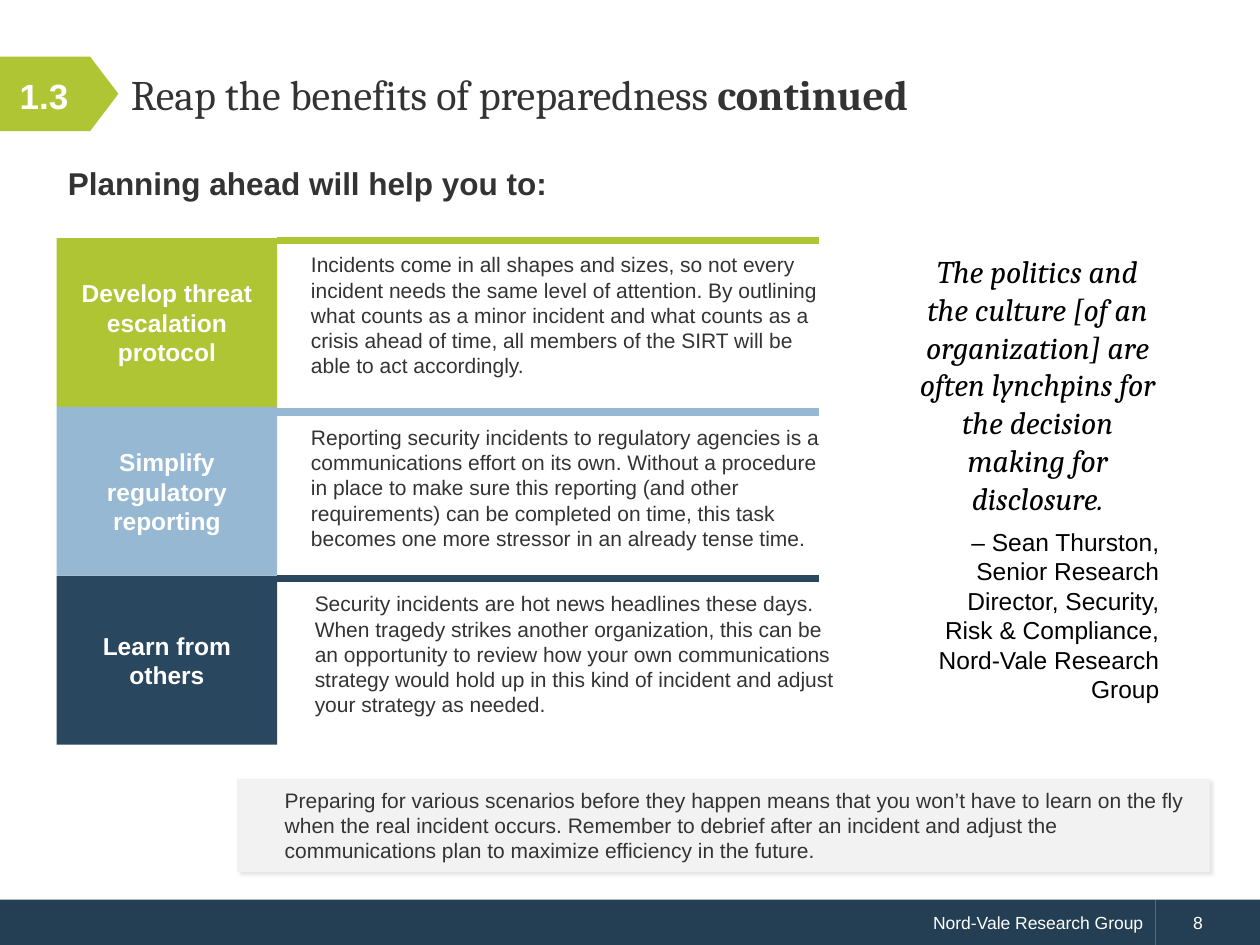
from lxml.etree import SubElement
from pptx import Presentation
from pptx.dml.color import RGBColor
from pptx.enum.shapes import MSO_SHAPE
from pptx.enum.text import MSO_ANCHOR, PP_ALIGN
from pptx.oxml.ns import qn
from pptx.util import Inches, Pt

GREEN, BLUE, NAVY, FOOTER = "B0C534", "96B8D2", "29475F", "243F54"
PALE, DARK, WHITE, BLACK = "F2F2F2", "333333", "FFFFFF", "000000"
COMPANY = "Nord-Vale Research Group"

TITLE = {"size": 24, "name": "Cambria", "color": DARK}
NUMBER = {"size": 20, "bold": True, "color": WHITE}
HEADING = {"size": 18, "bold": True, "color": DARK}
LABEL = {"size": 14, "bold": True, "color": WHITE}
BODY = {"size": 12, "color": DARK}
QUOTE = {"size": 18, "name": "Cambria", "italic": True, "color": BLACK}
SOURCE = {"size": 14, "color": BLACK}
SMALL = {"size": 10, "color": WHITE}

BENEFITS = [
    ("Develop threat escalation protocol", GREEN, 1.79, (2.37, 1.95),
     "Incidents come in all shapes and sizes, so not every incident needs the same "
     "level of attention. By outlining what counts as a minor incident and what counts "
     "as a crisis ahead of time, all members of the SIRT will be able to act accordingly."),
    ("Simplify regulatory reporting", BLUE, 3.15, (2.37, 3.32),
     "Reporting security incidents to regulatory agencies is a communications effort on "
     "its own. Without a procedure in place to make sure this reporting (and other "
     "requirements) can be completed on time, this task becomes one more stressor in an "
     "already tense time."),
    ("Learn from others", NAVY, 4.47, (2.4, 4.64),
     "Security incidents are hot news headlines these days. When tragedy strikes another "
     "organization, this can be an opportunity to review how your own communications "
     "strategy would hold up in this kind of incident and adjust your strategy as needed."),
]
NOTE = ("Preparing for various scenarios before they happen means that you won’t have to "
        "learn on the fly when the real incident occurs. Remember to debrief after an "
        "incident and adjust the communications plan to maximize efficiency in the future.")
QUOTE_TEXT = ("The politics and the culture [of an organization] are often lynchpins for "
              "the decision making for disclosure.")
QUOTE_SOURCE = ("– Sean Thurston, Senior Research Director, Security, "
                f"Risk & Compliance, {COMPANY}")

ROW_TOP, ROW_H = 1.89, 1.34

prs = Presentation()
prs.slide_width, prs.slide_height = Inches(10), Inches(7.5)
s = prs.slides.add_slide(prs.slide_layouts[6])


def rgb(value):
    return RGBColor.from_string(value)


def add_run(p, text, fmt):
    r = p.add_run()
    r.text = text
    for key, value in {"name": "Arial", **fmt}.items():
        if key == "color":
            r.font.color.rgb = rgb(value)
        else:
            setattr(r.font, key, Pt(value) if key == "size" else value)


def write(sp, paragraphs, anchor=MSO_ANCHOR.MIDDLE, left=0.1):
    tf = sp.text_frame
    tf.word_wrap = True
    tf.vertical_anchor = anchor
    tf.margin_left = Inches(left)
    for i, (align, runs) in enumerate(paragraphs):
        p = tf.add_paragraph() if i else tf.paragraphs[0]
        p.alignment = align
        for text, fmt in runs:
            add_run(p, text, fmt)
    return tf


def add_shape(kind, box, fill):
    sp = s.shapes.add_shape(kind, *map(Inches, box))
    sp.shadow.inherit = False
    sp.fill.solid()
    sp.fill.fore_color.rgb = rgb(fill)
    sp.line.fill.background()
    return sp


def add_text(box, paragraphs, anchor=MSO_ANCHOR.TOP):
    return write(s.shapes.add_textbox(*map(Inches, box)), paragraphs, anchor)


def add_shadow(sp):
    effects = sp._element.spPr.find(qn("a:effectLst"))
    shadow = SubElement(effects, qn("a:outerShdw"), blurRad=str(Pt(2)), dist=str(Pt(2)),
                        dir="2700000", algn="tl", rotWithShape="0")
    color = SubElement(shadow, qn("a:srgbClr"), val=BLACK)
    SubElement(color, qn("a:alpha"), val="10000")


LEFT, CENTER, RIGHT = PP_ALIGN.LEFT, PP_ALIGN.CENTER, PP_ALIGN.RIGHT

footer = add_shape(MSO_SHAPE.RECTANGLE, (0, 7.14, 9.17, 0.37), FOOTER)
write(footer, [(RIGHT, [(COMPANY, SMALL)])])
page = add_shape(MSO_SHAPE.RECTANGLE, (9.17, 7.14, 0.83, 0.37), FOOTER)
write(page, [(LEFT, [("8", SMALL)])], left=0.3)

tag = add_shape(MSO_SHAPE.PENTAGON, (0, 0.45, 0.94, 0.59), GREEN)
tag.adjustments[0] = 0.38
title = add_text((0.94, 0.29, 8.76, 0.94),
                 [(LEFT, [("Reap the benefits of preparedness ", TITLE),
                          ("continued", {**TITLE, "bold": True})])], MSO_ANCHOR.MIDDLE)
title.paragraphs[0].line_spacing = Pt(26)
add_text((0, 0.27, 0.7, 0.98), [(CENTER, [("1.3", NUMBER)])], MSO_ANCHOR.MIDDLE)

note = add_shape(MSO_SHAPE.RECTANGLE, (1.88, 6.18, 7.72, 0.74), PALE)
add_shadow(note)
write(note, [(LEFT, [(NOTE, BODY)])], left=0.38)

add_text((0.44, 1.25, 5.06, 0.4), [(LEFT, [("Planning ahead will help you to:", HEADING)])])

for i, (label, color, *_) in enumerate(BENEFITS):
    sp = add_shape(MSO_SHAPE.RECTANGLE, (0.45, ROW_TOP + i * ROW_H, 1.75, ROW_H), color)
    write(sp, [(CENTER, [(label, LABEL)])])

for _, color, bar_top, corner, text in BENEFITS:
    add_shape(MSO_SHAPE.MATH_MINUS, (1.42, bar_top, 5.86, 0.24), color)
    add_text((*corner, 4.37, 1.11), [(LEFT, [(text, BODY)])])

quote = add_text((7.17, 1.95, 2.13, 3.72), [(CENTER, [(QUOTE_TEXT, QUOTE)]),
                                            (RIGHT, [(QUOTE_SOURCE, SOURCE)])])
for p in quote.paragraphs:
    p.space_after = Pt(6)

prs.save("out.pptx")
